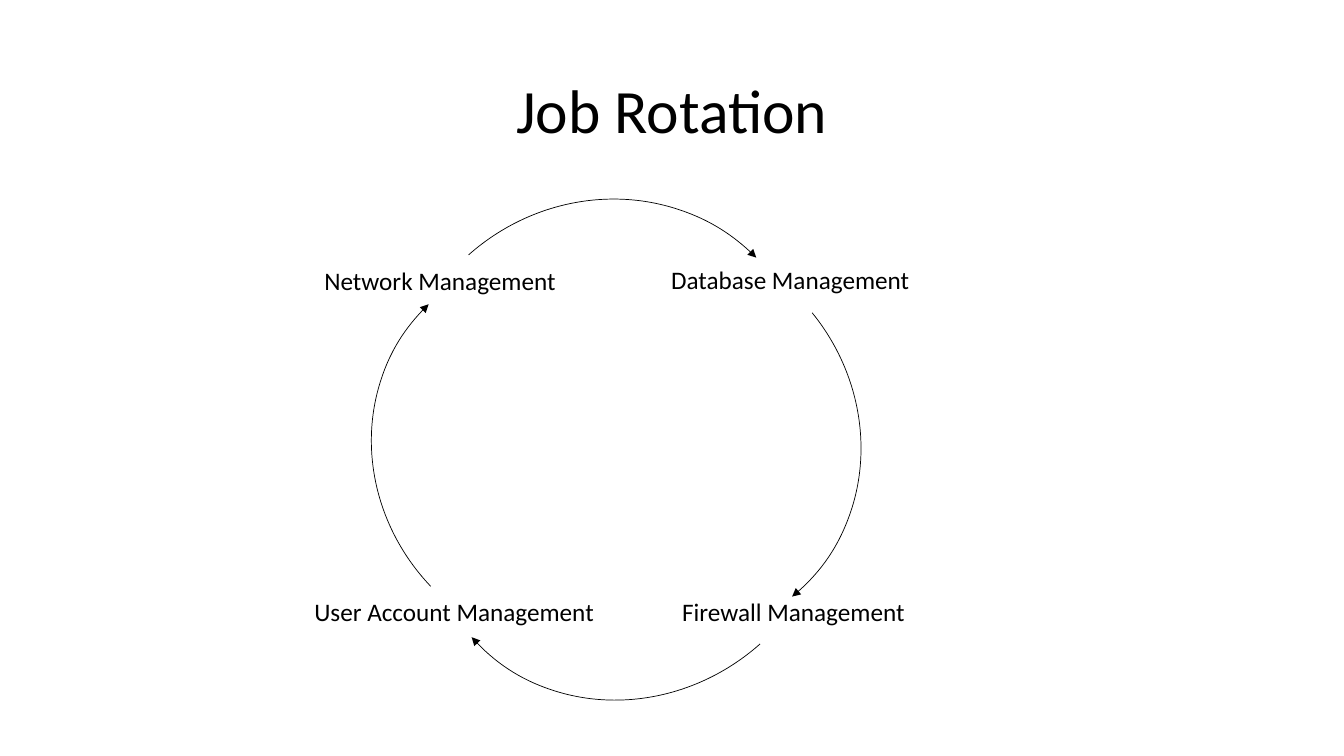
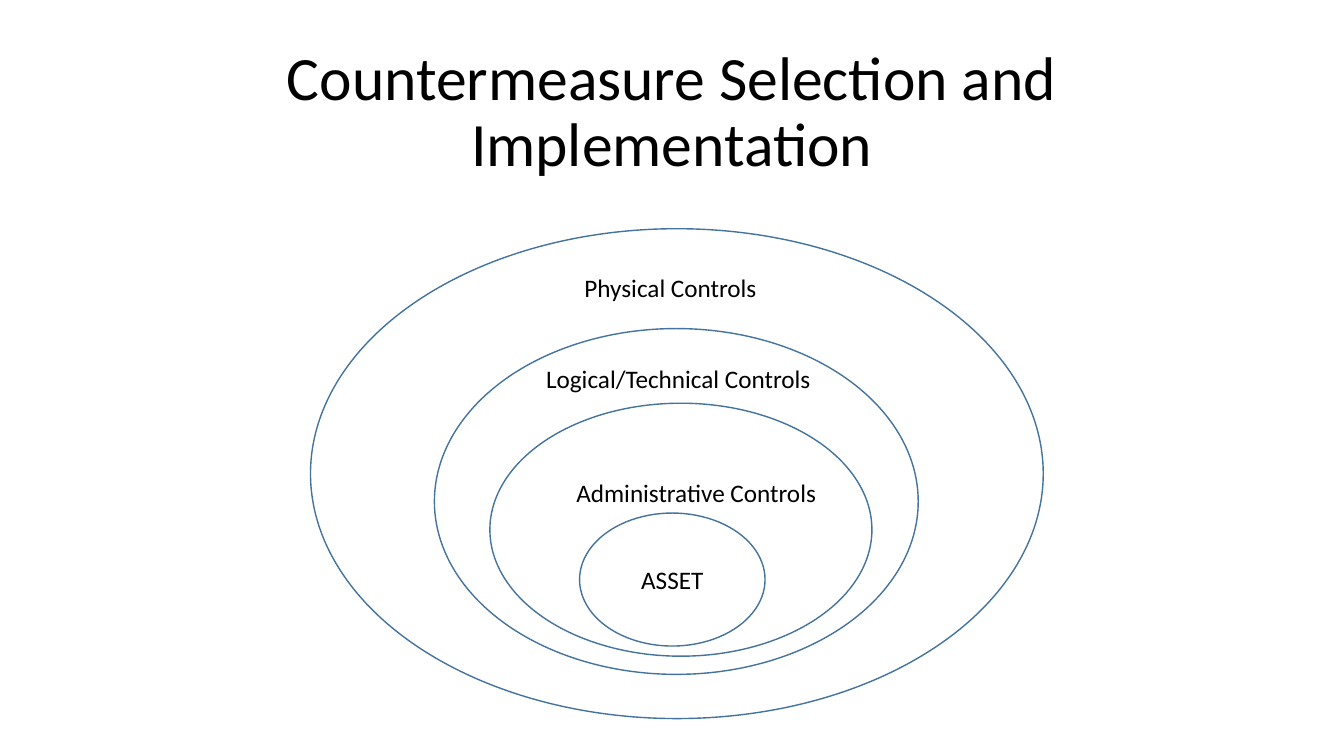
from collections import namedtuple
from dataclasses import dataclass

from lxml.etree import SubElement
from pptx import Presentation
from pptx.dml.color import RGBColor
from pptx.enum.shapes import MSO_SHAPE as Preset
from pptx.enum.text import MSO_ANCHOR as Anchor, PP_ALIGN as Align
from pptx.oxml.ns import qn
from pptx.util import Pt

Box = namedtuple("Box", "left top width height")


@dataclass(frozen=True)
class Theme:
    """Colours, font and sizes that the slides share."""

    ink: RGBColor = RGBColor(0, 0, 0)
    paper: RGBColor = RGBColor(255, 255, 255)
    outline: RGBColor = RGBColor(0x43, 0x73, 0x9E)
    font: str = "Calibri"
    title_size: float = 44
    label_size: float = 18
    label_height: float = 28.8
    arrow_width: float = 0.5
    outline_width: float = 1


THEME = Theme()
PAGE = Box(0, 0, 960, 540)
TITLE = Box(66, 28.8, 828, 104.4)
CYCLE = Box(216, 144, 432, 364)
LAYERS = Box(221.8, 163.4, 523.4, 349.9)


def apply_format(target, values):
    """Set each named attribute on the target."""
    for name, value in values.items():
        setattr(target, name, value)


def place(area, left, top, width, height):
    """Return shape lengths for a part measured from the area's corner."""
    return Pt(area.left + left), Pt(area.top + top), Pt(width), Pt(height)


def write(shape, text, size, frame_format, paragraph_format):
    """Write one formatted paragraph into the shape."""
    frame = shape.text_frame
    apply_format(frame, frame_format)
    paragraph = frame.paragraphs[0]
    apply_format(paragraph, paragraph_format)
    run = paragraph.add_run()
    run.text = text
    apply_format(run.font, {"name": THEME.font, "size": Pt(size)})
    run.font.color.rgb = THEME.ink


def add_title(slide, area, text):
    """Add the centred slide title."""
    shape = slide.shapes.add_textbox(*place(area, 0, 0, area.width, area.height))
    write(shape, text, THEME.title_size,
          {"word_wrap": True, "vertical_anchor": Anchor.MIDDLE},
          {"alignment": Align.CENTER, "line_spacing": 0.9})


def add_label(slide, area, text, left, top, width):
    """Add a one-line label."""
    shape = slide.shapes.add_textbox(*place(area, left, top, width, THEME.label_height))
    write(shape, text, THEME.label_size, {"word_wrap": False}, {"alignment": Align.LEFT})


def add_outlined(slide, preset, lengths, color, width):
    """Add a preset shape with a plain outline and no shadow."""
    shape = slide.shapes.add_shape(preset, *lengths)
    shape.shadow.inherit = False
    shape.line.color.rgb = color
    shape.line.width = Pt(width)
    return shape


def add_arc_arrow(slide, area, lengths, rotation, angles):
    """Add a rotated arc that ends in an arrowhead."""
    arc = add_outlined(slide, Preset.ARC, place(area, *lengths), THEME.ink, THEME.arrow_width)
    arc.fill.background()
    arc.rotation = rotation
    for index, angle in enumerate(angles):
        arc.adjustments[index] = angle
    line = arc.element.spPr.find(qn("a:ln"))
    SubElement(line, qn("a:tailEnd"), type="triangle")


def add_oval(slide, area, lengths, text):
    """Add one layer oval, with centred text if there is any."""
    oval = add_outlined(slide, Preset.OVAL, place(area, *lengths),
                        THEME.outline, THEME.outline_width)
    oval.fill.solid()
    oval.fill.fore_color.rgb = THEME.paper
    if text:
        write(oval, text, THEME.label_size,
              {"vertical_anchor": Anchor.MIDDLE}, {"alignment": Align.CENTER})


def draw_cycle(slide, area):
    """Draw the four jobs and the arrows that lead round them."""
    quarter = (162, 0)
    arrows = [
        ((62.6, 1.4, 305.3, 290.9), 318.4, (162, 214.3)),
        ((108, 28.1, 296.6, 277.9), 50.9, quarter),
        ((82.8, 70.6, 301.7, 280.8), 138.4, quarter),
        ((44.6, 41.8, 293.8, 275.8), 226.4, quarter),
    ]
    jobs = [
        ("Network Management", 8.6, 41.8, 181.4),
        ("Database Management", 256.3, 41, 186.5),
        ("User Account Management", 1.4, 278.6, 216.7),
        ("Firewall Management", 264.2, 278.6, 175),
    ]
    for arrow in arrows:
        add_arc_arrow(slide, area, *arrow)
    for job in jobs:
        add_label(slide, area, *job)


def draw_layers(slide, area):
    """Draw the nested layers of controls round the asset."""
    ovals = [
        ((0, 0, area.width, area.height), ""),
        ((88.5, 71.3, 345.6, 247), ""),
        ((128.1, 124.6, 272.9, 180.7), ""),
        ((192.2, 203.1, 132.5, 95), "ASSET"),
    ]
    controls = [
        ("Physical Controls", 188.6, 27.4, 139),
        ("Logical/Technical Controls", 161.2, 92.9, 205.9),
        ("Administrative Controls", 182.8, 174.3, 187.9),
    ]
    for oval in ovals:
        add_oval(slide, area, *oval)
    for control in controls:
        add_label(slide, area, *control)


def build():
    """Build and save the presentation."""
    presentation = Presentation()
    apply_format(presentation, {"slide_width": Pt(PAGE.width), "slide_height": Pt(PAGE.height)})
    pages = [
        ("Job Rotation", draw_cycle, CYCLE),
        ("Countermeasure Selection and Implementation", draw_layers, LAYERS),
    ]
    for title, draw, area in pages:
        slide = presentation.slides.add_slide(presentation.slide_layouts[6])
        add_title(slide, TITLE, title)
        draw(slide, area)
    presentation.save("out.pptx")


build()
